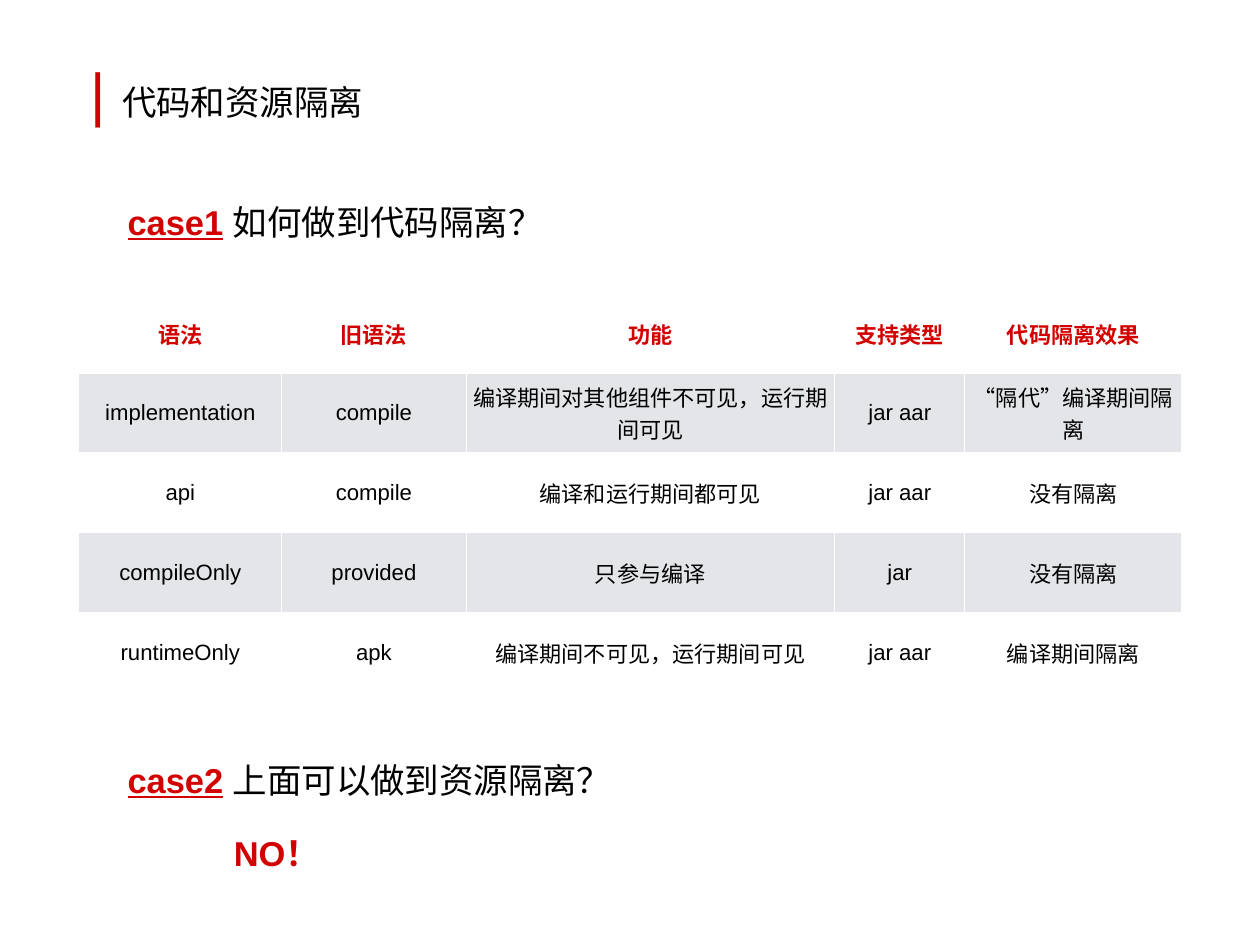
"""Build the slide on code and resource isolation with its dependency table."""
import pptx
import pptx.dml.color
import pptx.enum.lang
import pptx.enum.text
import pptx.util

RED = pptx.dml.color.RGBColor(0xD3, 0x00, 0x00)
BLACK = pptx.dml.color.RGBColor(0x00, 0x00, 0x00)
WHITE = pptx.dml.color.RGBColor(0xFF, 0xFF, 0xFF)
GREY = pptx.dml.color.RGBColor(0xE3, 0xE5, 0xE8)
FONT = "Arial"
SLIDE_SIZE = (14.22, 10.66)
INSET = 0.06

BAR = {"size": 48, "color": RED}
PLAIN = {"size": 28, "color": BLACK}
STRONG = {"size": 28, "color": RED, "bold": True}
CASE = {**STRONG, "underline": True}

TITLE_BOX = (0.96, 0.24, 11.74, 1.6)
TITLE = [("| ", BAR), ("代码和资源隔离", PLAIN)]
STATEMENTS = [
    ((1.38, 2.21, 9.5, 0.58), [("case1", CASE), (" 如何做到代码隔离？", PLAIN)]),
    ((1.38, 8.5, 9.5, 0.58), [("case2", CASE), (" 上面可以做到资源隔离？", PLAIN)]),
    ((2.58, 9.33, 1.36, 0.58), [("NO！", STRONG)]),
]

TABLE_ORIGIN = (0.89, 3.31)
COLUMN_WIDTHS = [2.29, 2.08, 4.16, 1.47, 2.45]
ROW_HEIGHT = 0.9
DEPENDENCIES = [
    ("语法", "旧语法", "功能", "支持类型", "代码隔离效果"),
    ("implementation", "compile", "编译期间对其他组件不可见，运行期间可见", "jar aar", "“隔代”编译期间隔离"),
    ("api", "compile", "编译和运行期间都可见", "jar aar", "没有隔离"),
    ("compileOnly", "provided", "只参与编译", "jar", "没有隔离"),
    ("runtimeOnly", "apk", "编译期间不可见，运行期间可见", "jar aar", "编译期间隔离"),
]


def inches(lengths):
    return [pptx.util.Inches(length) for length in lengths]


def style(run, size, color, bold=False, underline=False):
    run.font.name = FONT
    run.font.size = pptx.util.Pt(size)
    run.font.bold = bold
    run.font.underline = underline
    run.font.color.rgb = color
    run.font.language_id = pptx.enum.lang.MSO_LANGUAGE_ID.SIMPLIFIED_CHINESE


def write_line(holder, pieces):
    frame = holder.text_frame
    frame.word_wrap = True
    frame.auto_size = pptx.enum.text.MSO_AUTO_SIZE.NONE
    frame.vertical_anchor = pptx.enum.text.MSO_ANCHOR.MIDDLE
    frame.margin_left = frame.margin_right = pptx.util.Inches(INSET)
    frame.margin_top = frame.margin_bottom = pptx.util.Inches(INSET)
    line = frame.paragraphs[0]
    line.alignment = pptx.enum.text.PP_ALIGN.LEFT
    for text, look in pieces:
        run = line.add_run()
        run.text = text
        style(run, **look)


def add_dependencies(slide):
    extent = (sum(COLUMN_WIDTHS), ROW_HEIGHT * len(DEPENDENCIES))
    table = slide.shapes.add_table(
        len(DEPENDENCIES), len(COLUMN_WIDTHS), *inches(TABLE_ORIGIN + extent)
    ).table
    for column, width in zip(table.columns, inches(COLUMN_WIDTHS)):
        column.width = width
    for row, entries in enumerate(DEPENDENCIES):
        header = row == 0
        for column, entry in enumerate(entries):
            cell = table.cell(row, column)
            cell.fill.solid()
            cell.fill.fore_color.rgb = GREY if row % 2 else WHITE
            cell.vertical_anchor = pptx.enum.text.MSO_ANCHOR.MIDDLE
            cell.margin_left = cell.margin_right = pptx.util.Inches(0.07)
            cell.text_frame.text = entry
            line = cell.text_frame.paragraphs[0]
            line.alignment = pptx.enum.text.PP_ALIGN.CENTER
            style(line.runs[0], 18, RED if header else BLACK, bold=header)


def main():
    deck = pptx.Presentation()
    deck.slide_width, deck.slide_height = inches(SLIDE_SIZE)
    slide = deck.slides.add_slide(deck.slide_layouts[5])
    title = slide.shapes.title
    title.left, title.top, title.width, title.height = inches(TITLE_BOX)
    write_line(title, TITLE)
    for box, pieces in STATEMENTS:
        write_line(slide.shapes.add_textbox(*inches(box)), pieces)
    add_dependencies(slide)
    deck.save("out.pptx")


if __name__ == "__main__":
    main()
